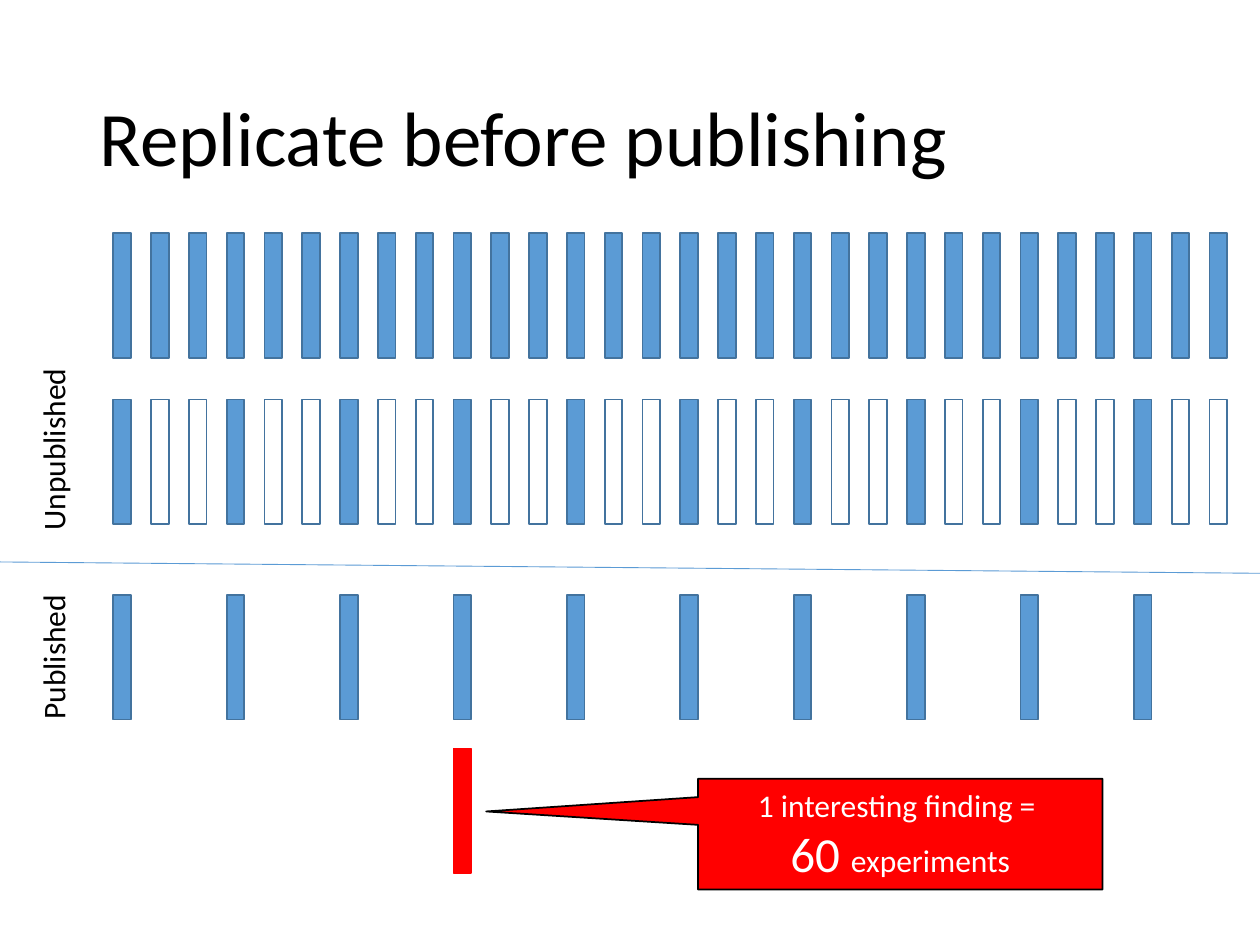
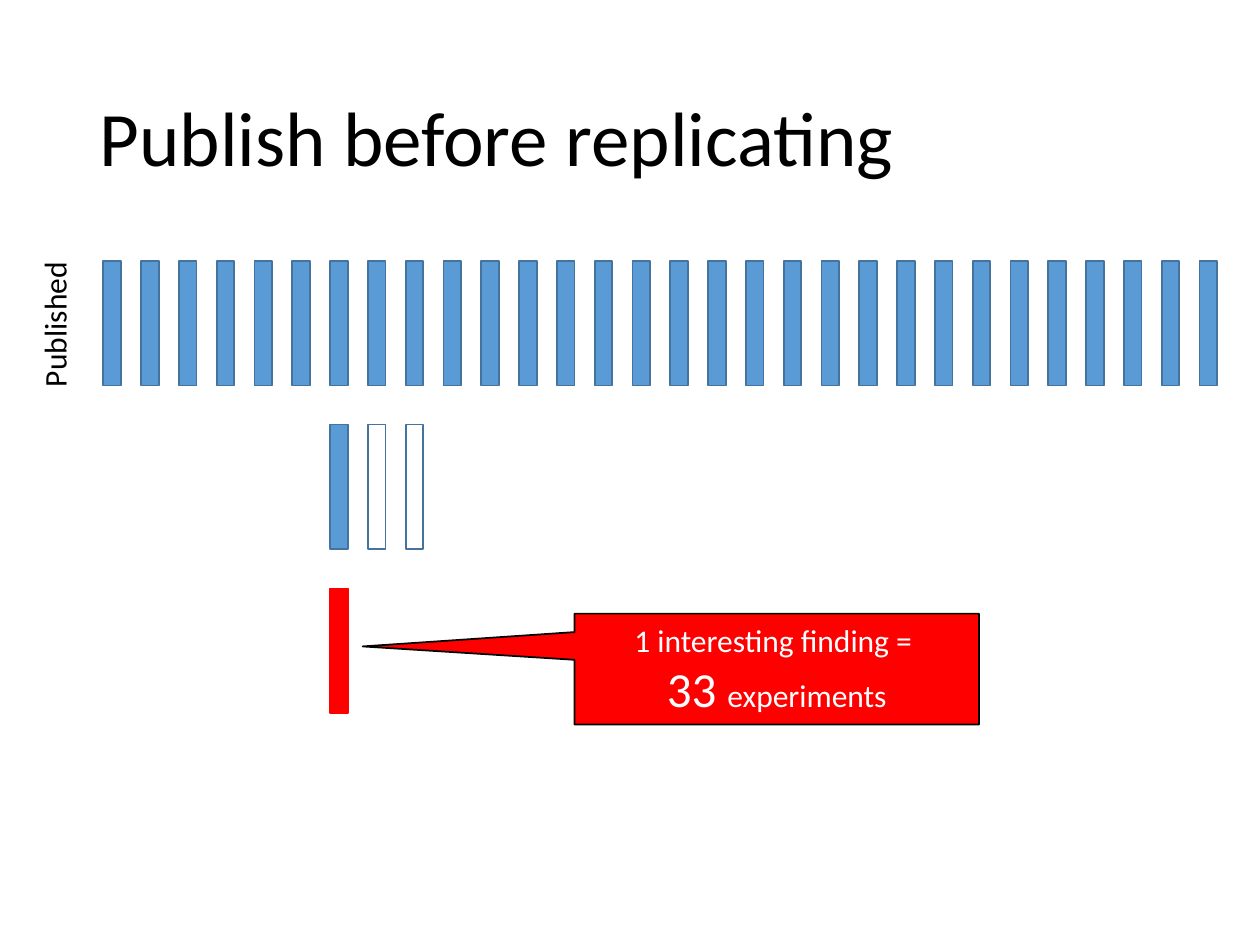
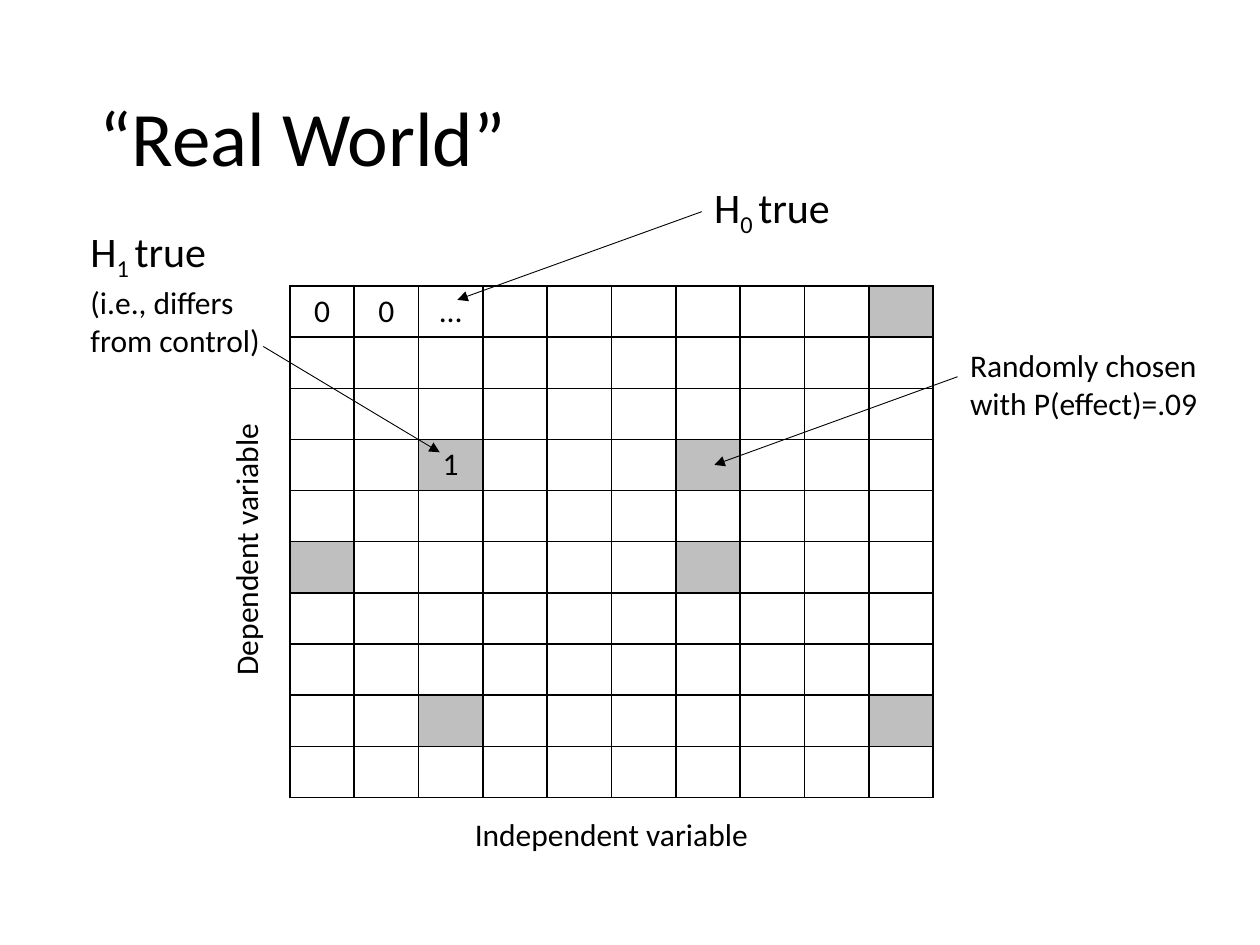
"""Builds three slides on replicating findings before or after publishing."""
from dataclasses import dataclass

from lxml.etree import SubElement
from pptx import Presentation
from pptx.dml.color import RGBColor
from pptx.enum.shapes import MSO_CONNECTOR, MSO_SHAPE
from pptx.enum.text import MSO_ANCHOR, MSO_AUTO_SIZE, PP_ALIGN
from pptx.oxml.ns import qn
from pptx.util import Inches, Pt


@dataclass(frozen=True)
class Theme:
    font: str = "Calibri"
    black: str = "000000"
    white: str = "FFFFFF"
    blue: str = "5B9BD5"
    edge: str = "43739E"
    red: str = "FF0000"
    gray: str = "BFBFBF"
    title: int = 44
    large: int = 28
    head: int = 24
    body: int = 18
    thin: float = 0.5
    line: float = 1


T = Theme()
WIDE, HIGH = 10, 7.5
TITLE = (0.69, 0.4, 8.62, 1.45)
STEP, BAR_W, BAR_H = 0.3, 0.14, 0.99
KINDS = {"b": (T.blue, T.edge), "w": (T.white, T.edge), "r": (T.red, T.red)}

PLANS = [
    {
        "title": "Replicate before publishing",
        "left": 0.9,
        "rows": [(1.85, "b" * 30), (3.17, "bww" * 10), (4.72, "b  " * 10), (5.94, " " * 9 + "r")],
        "rule": ((0, 4.46), (WIDE, 4.55)),
        "label": ("Published \tUnpublished", (-1.34, 3.85, 3.52, 0.4)),
        "call": ("60 ", 5.54, 6.18),
    },
    {
        "title": "Publish before replicating",
        "left": 0.82,
        "rows": [(2.07, "b" * 30), (3.37, " " * 6 + "bww"), (4.67, " " * 6 + "r")],
        "label": ("Published", (-0.17, 2.37, 1.2, 0.4)),
        "call": ("33 ", 4.56, 4.87),
    },
]

WORLD = "“Real World”"
SIZE = 10
GRID = (2.3, 2.27, 5.11, 4.06)
WORDS = {(0, 0): "0", (0, 1): "0", (0, 2): "…", (3, 2): "1"}
HITS = {(0, 9), (3, 2), (3, 6), (5, 0), (5, 6), (8, 2), (8, 9)}
AXES = [
    ("Independent variable", (3.67, 6.42, 2.46, 0.4), 0),
    ("Dependent variable", (0.84, 4.15, 2.22, 0.4), 270),
]


def hypo(num):
    return [("H", T.head), (num + " ", T.head, -25), ("true", T.head)]


NOTES = [
    ([hypo("0")], (5.57, 1.39, 1.15, 0.5), (5.57, 1.68), (3.63, 2.38)),
    ([hypo("1"), [("(i.e., differs\nfrom control)", T.body)]],
     (0.62, 1.74, 1.56, 1.11), (2.09, 2.75), (3.49, 3.59)),
    ([[("Randomly chosen \nwith P(effect)=.09", T.body)]],
     (7.6, 2.7, 2.08, 0.71), (7.6, 2.99), (5.67, 3.69)),
]


def rgb(color):
    return RGBColor.from_string(color)


def place(box):
    return [Inches(n) for n in box]


def write(frame, text, size=T.body, color=T.black, align=PP_ALIGN.LEFT, space=None):
    """Fills a frame from a string or from paragraphs of (text, size, base) runs."""
    paras = [[(text, size)]] if isinstance(text, str) else text
    for i, runs in enumerate(paras):
        para = frame.add_paragraph() if i else frame.paragraphs[0]
        para.alignment = align
        para.line_spacing = space
        for words, points, *base in runs:
            for j, part in enumerate(words.split("\n")):
                if j:
                    para.add_line_break()
                if not part:
                    continue
                run = para.add_run()
                run.text = part
                run.font.name = T.font
                run.font.size = Pt(points)
                run.font.color.rgb = rgb(color)
                if base:
                    run.font._element.set("baseline", str(base[0] * 1000))


def label(shapes, text, box, turn=0):
    item = shapes.add_textbox(*place(box))
    item.rotation = turn
    item.text_frame.word_wrap = False
    item.text_frame.auto_size = MSO_AUTO_SIZE.SHAPE_TO_FIT_TEXT
    write(item.text_frame, text)


def block(shapes, kind, box, fill, edge):
    item = shapes.add_shape(kind, *place(box))
    item.shadow.inherit = False
    item.fill.solid()
    item.fill.fore_color.rgb = rgb(fill)
    item.line.color.rgb = rgb(edge)
    item.line.width = Pt(T.line)
    return item


def rule(shapes, start, end, color, arrow=False):
    item = shapes.add_connector(MSO_CONNECTOR.STRAIGHT, *place(start + end))
    item.line.color.rgb = rgb(color)
    item.line.width = Pt(T.thin)
    if arrow:
        SubElement(item.line._get_or_add_ln(), qn("a:tailEnd"), type="triangle")
    SubElement(item._element.spPr, qn("a:effectLst"))


def start(deck, title):
    slide = deck.slides.add_slide(deck.slide_layouts[5])
    head = slide.shapes.title
    head.left, head.top, head.width, head.height = place(TITLE)
    head.text_frame.auto_size = MSO_AUTO_SIZE.NONE
    head.text_frame.vertical_anchor = MSO_ANCHOR.MIDDLE
    write(head.text_frame, title, size=T.title, space=0.9)
    return slide.shapes


def callout(shapes, count, left, top):
    item = block(shapes, MSO_SHAPE.RECTANGULAR_CALLOUT, (left, top, 3.21, 0.88), T.red, T.black)
    item.adjustments[0], item.adjustments[1] = -1.024, -0.204
    item.text_frame.word_wrap = True
    item.text_frame.vertical_anchor = MSO_ANCHOR.MIDDLE
    runs = [("1 interesting finding = \n", T.body), (count, T.large), ("experiments", T.body)]
    write(item.text_frame, [runs], color=T.white, align=PP_ALIGN.CENTER)


def bars(deck, plan):
    shapes = start(deck, plan["title"])
    for top, marks in plan["rows"]:
        group = shapes.add_group_shape().shapes
        for col, mark in enumerate(marks):
            if mark in KINDS:
                box = (plan["left"] + col * STEP, top, BAR_W, BAR_H)
                block(group, MSO_SHAPE.RECTANGLE, box, *KINDS[mark])
    if "rule" in plan:
        rule(shapes, *plan["rule"], T.blue)
    label(shapes, *plan["label"], turn=270)
    callout(shapes, *plan["call"])


def border(cell):
    props = cell._tc.get_or_add_tcPr()
    for i, side in enumerate(("lnL", "lnR", "lnT", "lnB")):
        line = props.makeelement(qn("a:" + side), {"w": str(Pt(T.line))})
        fill = SubElement(line, qn("a:solidFill"))
        SubElement(fill, qn("a:srgbClr"), val=T.black)
        props.insert(i, line)


def grid(shapes):
    table = shapes.add_table(SIZE, SIZE, *place(GRID)).table
    table.first_row = table.horz_banding = False
    for row in range(SIZE):
        for col in range(SIZE):
            cell = table.cell(row, col)
            cell.fill.solid()
            cell.fill.fore_color.rgb = rgb(T.gray if (row, col) in HITS else T.white)
            border(cell)
            if (row, col) in WORDS:
                write(cell.text_frame, WORDS[row, col], align=PP_ALIGN.CENTER)


def world(deck):
    shapes = start(deck, WORLD)
    grid(shapes)
    for text, box, turn in AXES:
        label(shapes, text, box, turn)
    for text, box, tail, tip in NOTES:
        group = shapes.add_group_shape().shapes
        rule(group, tail, tip, T.black, arrow=True)
        label(group, text, box)


def main():
    deck = Presentation()
    deck.slide_width, deck.slide_height = Inches(WIDE), Inches(HIGH)
    for plan in PLANS:
        bars(deck, plan)
    world(deck)
    deck.save("out.pptx")


if __name__ == "__main__":
    main()
